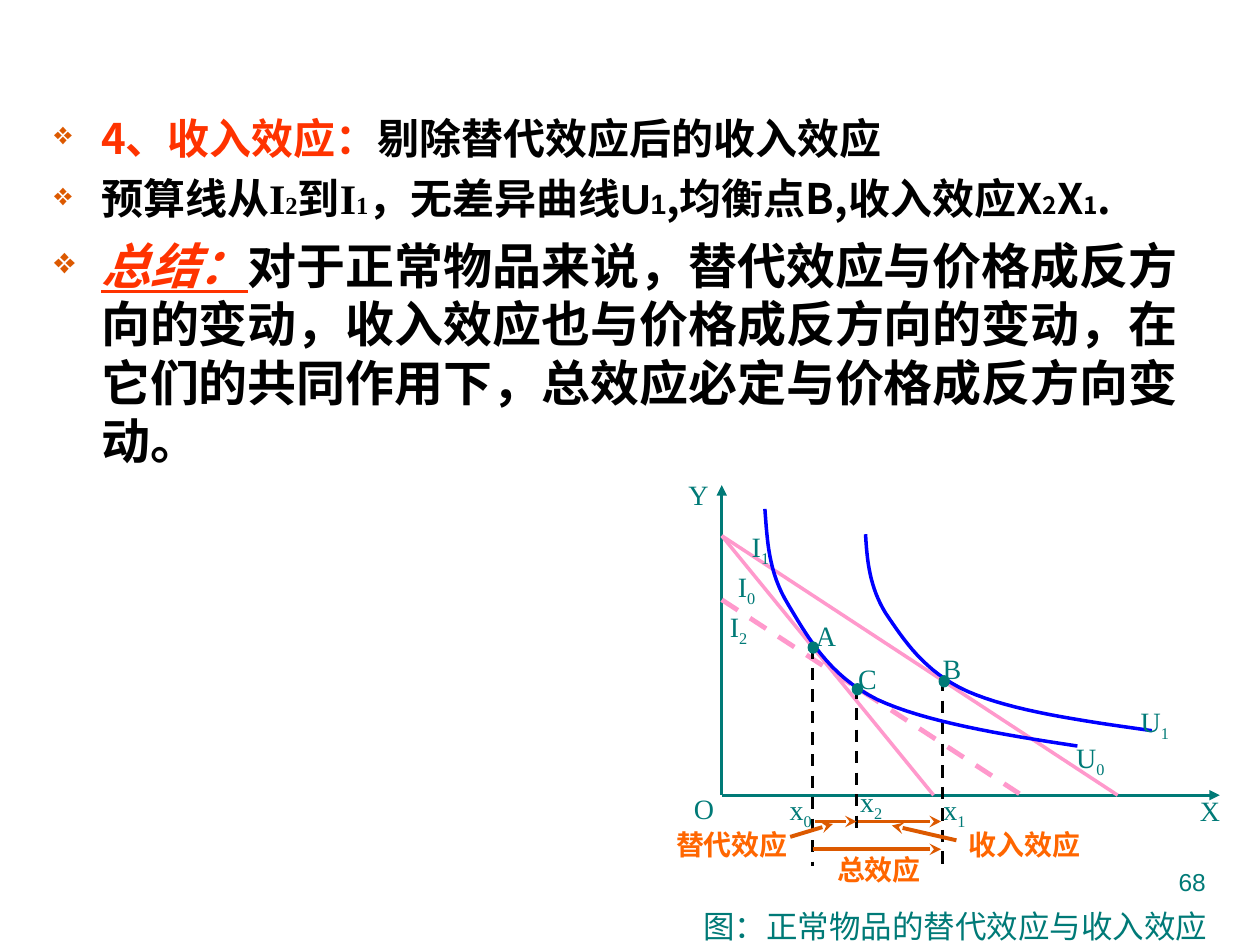
import pptx
import pptx.util
import pptx.dml.color
import pptx.enum.dml
import pptx.enum.shapes
import pptx.enum.text
import pptx.oxml.ns
from dataclasses import dataclass
from lxml import etree

Cm, Pt = pptx.util.Cm, pptx.util.Pt
ALIGN = pptx.enum.text.PP_ALIGN
SANS, SERIF, ARIAL = "Noto Sans CJK SC", "Times New Roman", "Arial"
TEAL, RED, BLACK = "007A77", "FF3300", "000000"
PINK, BLUE, RUST, AMBER = "FF99CC", "0000FF", "DC5900", "FF6600"


@dataclass
class Label:
    text: str
    x: float
    y: float
    sub: str = ""
    wide: float = 1.24
    color: str = TEAL
    bold: bool = False


@dataclass
class Line:
    start: tuple
    end: tuple
    color: str
    width: float
    head: str = ""
    dash: bool = False


def paint(target, color: str) -> None:
    """Give a fill or a font colour a solid hex colour."""
    if hasattr(target, "solid"):
        target.solid()
        target = target.fore_color
    target.rgb = pptx.dml.color.RGBColor.from_string(color)


def node(parent, tag: str, **attrs):
    return etree.SubElement(parent, pptx.oxml.ns.qn(tag), **attrs)


def write(para, text: str, *, size=16, face=SERIF, color=TEAL, bold=False,
          slant=False, under=False, sub=False) -> None:
    """Add one run of formatted text to a paragraph."""
    run = para.add_run()
    run.text = text
    font = run.font
    font.size, font.name = Pt(size), face
    font.bold, font.italic, font.underline = bold, slant, under
    paint(font.color, color)
    props = run._r.get_or_add_rPr()
    node(props, "a:ea", typeface=SANS)
    if sub:
        props.set("baseline", "-25000")


def box(slide, x, y, wide, high, pad=(0.25, 0.13), wrap=True):
    frame = slide.shapes.add_textbox(Cm(x), Cm(y), Cm(wide), Cm(high)).text_frame
    frame.word_wrap = wrap
    frame.margin_left = frame.margin_right = Cm(pad[0])
    frame.margin_top = frame.margin_bottom = Cm(pad[1])
    return frame


def bullet(para) -> None:
    props = para._p.get_or_add_pPr()
    props.set("marL", str(Cm(0.95)))
    props.set("indent", str(-Cm(0.95)))
    node(node(props, "a:buClr"), "a:srgbClr", val=RUST)
    node(props, "a:buSzPct", val="75000")
    node(props, "a:buChar", char="❖")


def tag(slide, item: Label) -> None:
    frame = box(slide, item.x, item.y, item.wide, 0.86, (0.15, 0.1), False)
    para = frame.paragraphs[0]
    para.alignment = ALIGN.CENTER
    write(para, item.text, color=item.color, bold=item.bold)
    if item.sub:
        write(para, item.sub, color=item.color, sub=True)


def rule(slide, item: Line) -> None:
    ends = [Cm(v) for v in item.start + item.end]
    shape = slide.shapes.add_connector(pptx.enum.shapes.MSO_CONNECTOR.STRAIGHT, *ends)
    paint(shape.line.fill, item.color)
    shape.line.width = Pt(item.width)
    if item.dash:
        shape.line.dash_style = pptx.enum.dml.MSO_LINE.DASH
    if item.head:
        node(shape.line._get_or_add_ln(), "a:tailEnd", type=item.head)
    node(shape._element.spPr, "a:effectLst")


def curve(slide, knots: list, steps: int = 16) -> None:
    """Draw joined cubic arcs; every third knot lies on the curve."""
    spots = []
    for i in range(0, len(knots) - 1, 3):
        a, b, c, d = knots[i:i + 4]
        for n in range(1, steps + 1):
            t = n / steps
            s = 1 - t
            spots.append(tuple(
                Cm(s**3 * a[k] + 3 * s * s * t * b[k] + 3 * s * t * t * c[k] + t**3 * d[k])
                for k in (0, 1)))
    form = slide.shapes.build_freeform(Cm(knots[0][0]), Cm(knots[0][1]))
    form.add_line_segments(spots, close=False)
    shape = form.convert_to_shape()
    shape.shadow.inherit = False
    shape.fill.background()
    paint(shape.line.fill, BLUE)
    shape.line.width = Pt(2)


def dot(slide, x: float, y: float) -> None:
    shape = slide.shapes.add_shape(pptx.enum.shapes.MSO_SHAPE.OVAL,
                                   Cm(x - 0.11), Cm(y - 0.13), Cm(0.23), Cm(0.25))
    shape.shadow.inherit = False
    paint(shape.fill, TEAL)
    shape.line.fill.background()


# Body text: space before, line pitch, runs as (text, size, face, colour)
BODY = [
    (0, 28.8, [("4、收入效应：", 24, SANS, RED),
               ("剔除替代效应后的收入效应", 24, SANS, BLACK)]),
    (6, 28.8, [(text, size, face, BLACK) for text, size, face in (
        ("预算线从", 24, SANS), ("I", 24, SERIF), ("2", 14, SERIF),
        ("到", 24, ARIAL), ("I", 24, SERIF), ("1", 14, SERIF),
        ("，无差异曲线", 24, SANS), ("U", 24, ARIAL), ("1", 16, ARIAL),
        (",均衡点B,收入效应X", 24, SANS), ("2", 14, SANS),
        ("X", 24, SANS), ("1", 14, SANS), (".", 24, SANS))]),
    (7, 33.4, [("总结：", 28, ARIAL, RED),
               ("对于正常物品来说，替代效应与价格成反方向的变动，收入效应也与价格成反方向的变动，"
                "在它们的共同作用下，总效应必定与价格成反方向变动。", 28, ARIAL, BLACK)]),
]

# Diagram
BASE, TOP = (14.55, 16.03), (14.55, 10.8)
DOTS = [(16.39, 13.06), (19.03, 13.74), (17.28, 13.9)]
LINES = [
    Line(BASE, (14.55, 9.78), TEAL, 1.5, "triangle"),
    Line(BASE, (24.59, 16.03), TEAL, 1.5, "triangle"),
    Line(TOP, (18.82, 16.03), PINK, 2),
    Line(TOP, (22.53, 16.03), PINK, 2),
    Line((14.55, 12.09), (20.55, 16), PINK, 2.75, dash=True),
    *(Line((x, y), (x, end), BLACK, 1.75, dash=True) for x, y, end in (
        (16.38, 13.03, 17.45), (17.27, 13.84, 16.87), (19, 13.69, 17.45))),
    *(Line(start, end, RUST, 2.25, "stealth") for start, end in (
        ((16.43, 16.56), (17.27, 16.56)), ((17.3, 16.56), (18.97, 16.56)),
        ((16.38, 17.12), (18.97, 17.12)), ((15.93, 16.87), (16.79, 16.61)),
        ((19.28, 16.94), (17.98, 16.64)))),
]
CURVES = [
    [(15.42, 10.26), (15.47, 10.9), (15.49, 11.53), (15.88, 12.17), (16.26, 12.8),
     (16.69, 13.61), (17.68, 14.1), (18.64, 14.55), (20.19, 14.81), (21.72, 15.04)],
    [(17.45, 10.77), (17.48, 11.3), (17.53, 11.84), (17.86, 12.37), (18.21, 12.88),
     (18.62, 13.54), (19.51, 13.94), (20.4, 14.33), (21.79, 14.53), (23.22, 14.73)],
]
LABELS = [
    Label("O", 13.57, 15.85), Label("X", 23.77, 15.9), Label("Y", 13.46, 9.53),
    Label("A", 16.03, 12.37), Label("B", 18.57, 13.03), Label("C", 16.87, 13.23),
    Label("U", 21.36, 14.83, "0"), Label("U", 22.66, 14.1, "1"),
    Label("I", 14.43, 11.38, "0"), Label("I", 14.71, 10.57, "1"),
    Label("I", 14.27, 12.19, "2"), Label("x", 15.52, 15.88, "0"),
    Label("x", 18.62, 15.88, "1"), Label("x", 16.94, 15.72, "2"),
    Label("替代效应", 13.46, 16.59, "", 2.59, AMBER, True),
    Label("收入效应", 19.23, 16.59, "", 2.84, AMBER, True),
    Label("总效应", 16.69, 17.09, "", 2.06, AMBER, True),
]


def main() -> None:
    deck = pptx.Presentation()
    deck.slide_width, deck.slide_height = Cm(25.4), Cm(19.05)
    slide = deck.slides.add_slide(deck.slide_layouts[6])

    # Bulleted text
    frame = box(slide, 0.84, 2.13, 23.72, 14.81)
    for i, (gap, pitch, runs) in enumerate(BODY):
        para = frame.add_paragraph() if i else frame.paragraphs[0]
        para.space_before, para.line_spacing = Pt(gap), Pt(pitch)
        bullet(para)
        for text, size, face, color in runs:
            lead = text == "总结："
            write(para, text, size=size, face=face, color=color, bold=True,
                  slant=lead, under=lead)

    # Diagram parts
    for item in LINES:
        rule(slide, item)
    for knots in CURVES:
        curve(slide, knots)
    for spot in DOTS:
        dot(slide, *spot)
    for item in LABELS:
        tag(slide, item)

    # Caption and page number
    para = box(slide, 13.11, 18.16, 12.29, 0.89).paragraphs[0]
    para.alignment = ALIGN.CENTER
    write(para, "图：正常物品的替代效应与收入效应", size=18)
    para = box(slide, 18.21, 17.35, 6.35, 1.32).paragraphs[0]
    para.alignment = ALIGN.RIGHT
    write(para, "68", size=14, face=ARIAL)

    deck.save("out.pptx")


if __name__ == "__main__":
    main()
